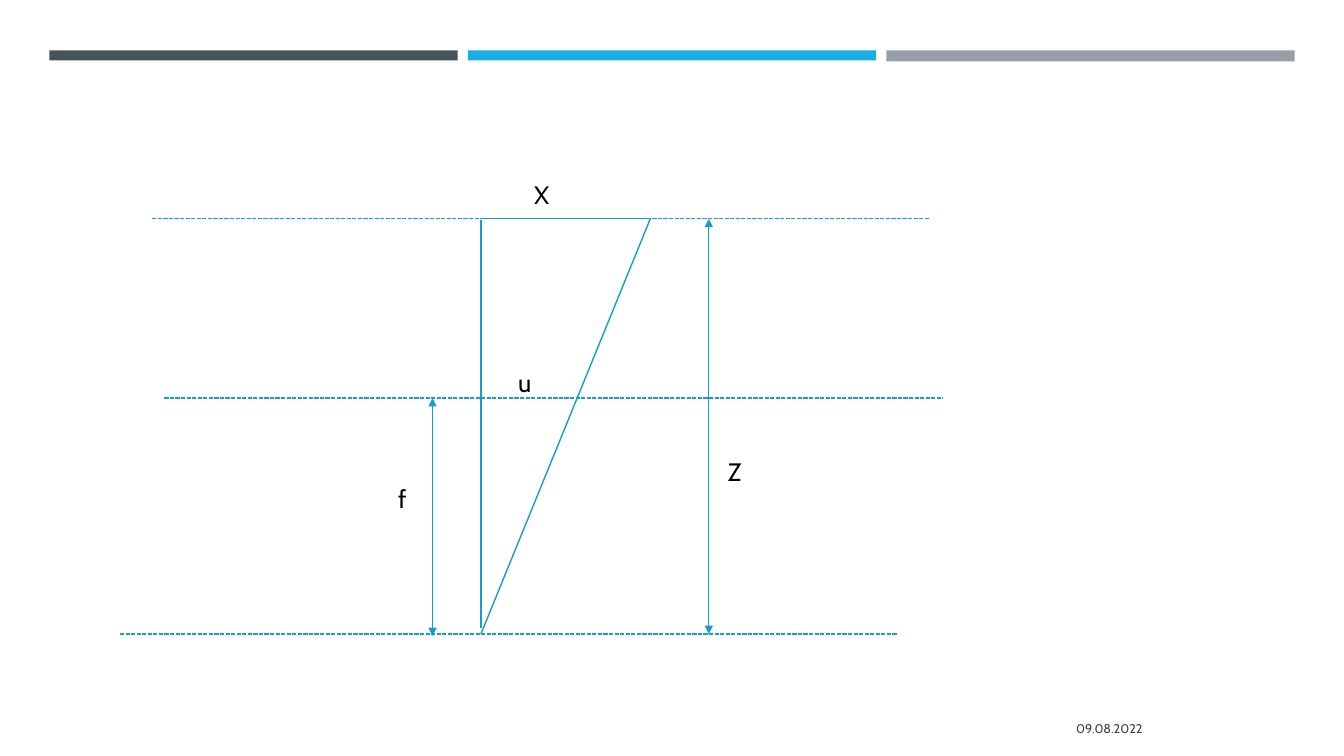
from dataclasses import dataclass

from lxml import etree
from pptx import Presentation
from pptx import util as u
from pptx.dml.color import RGBColor
from pptx.enum import dml, shapes, text
from pptx.oxml.ns import qn
from pptx.slide import Slide

PX = 9144  # EMU per px, 100 px to the inch
FONT = "Cabin"
SLATE = RGBColor(0x46, 0x53, 0x59)
SKY = RGBColor(0x1C, 0xAD, 0xE4)
GREY = RGBColor(0x96, 0x9F, 0xA7)
LINE_BLUE = RGBColor(0x18, 0x9C, 0xCE)
DATE_GREY = RGBColor(0x40, 0x40, 0x40)
BLACK = RGBColor(0, 0, 0)

# Levels and corners of the similar triangles
OBJECT_Y, IMAGE_Y, CAMERA_Y = 217, 395, 629
AXIS_X, POINT_X = 477, 645
BAR_LEFT, BAR_TOP, BAR_WIDTH, BAR_STEP = 49, 50, 405, 415


@dataclass(frozen=True)
class Bar:
    color: RGBColor
    height: int


@dataclass(frozen=True)
class Segment:
    x1: int
    y1: int
    x2: int
    y2: int
    dashed: bool = False
    arrows: bool = False


@dataclass(frozen=True)
class Label:
    content: str
    left: int
    top: int
    width: int
    size: int = 18
    color: RGBColor = BLACK
    is_date: bool = False


BARS = [Bar(SLATE, 10), Bar(SKY, 10), Bar(GREY, 11)]

SEGMENTS = [
    # Parallel planes
    Segment(163, IMAGE_Y, 935, IMAGE_Y, dashed=True),
    Segment(151, OBJECT_Y, 922, OBJECT_Y, dashed=True),
    Segment(119, CAMERA_Y, 890, CAMERA_Y, dashed=True),
    # Triangle
    Segment(POINT_X, OBJECT_Y, AXIS_X, OBJECT_Y),
    Segment(AXIS_X, 218, AXIS_X, 623),
    Segment(POINT_X, OBJECT_Y, AXIS_X, CAMERA_Y),
    # Depth and focal length
    Segment(703, OBJECT_Y, 703, CAMERA_Y, arrows=True),
    Segment(429, IMAGE_Y, 429, 631, arrows=True),
]

LABELS = [
    Label("09.08.2022", 832, 703, 311, 9, DATE_GREY, is_date=True),
    Label("f", 385, 475, 28),
    Label("Z", 712, 448, 33),
    Label("X", 520, 173, 33),
    Label("u", 504, 359, 34),
]


def px(length: int) -> u.Emu:
    return u.Emu(length * PX)


def draw_bar(page: Slide, bar: Bar, column: int) -> None:
    left = BAR_LEFT + column * BAR_STEP
    shape = page.shapes.add_shape(
        shapes.MSO_SHAPE.RECTANGLE, px(left), px(BAR_TOP), px(BAR_WIDTH), px(bar.height)
    )
    shape.shadow.inherit = False
    shape.fill.solid()
    shape.fill.fore_color.rgb = bar.color
    shape.line.fill.background()


def draw_segment(page: Slide, segment: Segment) -> None:
    connector = page.shapes.add_connector(
        shapes.MSO_CONNECTOR.STRAIGHT,
        px(segment.x1), px(segment.y1), px(segment.x2), px(segment.y2),
    )
    connector.line.color.rgb = LINE_BLUE
    connector.line.width = u.Pt(1)
    if segment.dashed:
        connector.line.dash_style = dml.MSO_LINE.SQUARE_DOT
    properties = connector.element.spPr
    if segment.arrows:
        outline = properties.find(qn("a:ln"))
        for end in ("a:headEnd", "a:tailEnd"):
            etree.SubElement(outline, qn(end), type="triangle")
    etree.SubElement(properties, qn("a:effectLst"))


def draw_label(page: Slide, label: Label) -> None:
    box = page.shapes.add_textbox(
        px(label.left), px(label.top), px(label.width), px(40)
    )
    frame = box.text_frame
    frame.word_wrap = label.is_date
    para = frame.paragraphs[0]
    para.text = label.content
    para.font.name = FONT
    para.font.size = u.Pt(label.size)
    para.font.color.rgb = label.color
    if label.is_date:
        frame.vertical_anchor = text.MSO_ANCHOR.MIDDLE
        para.alignment = text.PP_ALIGN.RIGHT
    else:
        frame.auto_size = text.MSO_AUTO_SIZE.SHAPE_TO_FIT_TEXT


def main() -> None:
    deck = Presentation()
    deck.slide_width, deck.slide_height = u.Inches(13.33), u.Inches(7.5)
    page = deck.slides.add_slide(deck.slide_layouts[6])
    for column, bar in enumerate(BARS):
        draw_bar(page, bar, column)
    for segment in SEGMENTS:
        draw_segment(page, segment)
    for label in LABELS:
        draw_label(page, label)
    deck.save("out.pptx")


if __name__ == "__main__":
    main()
